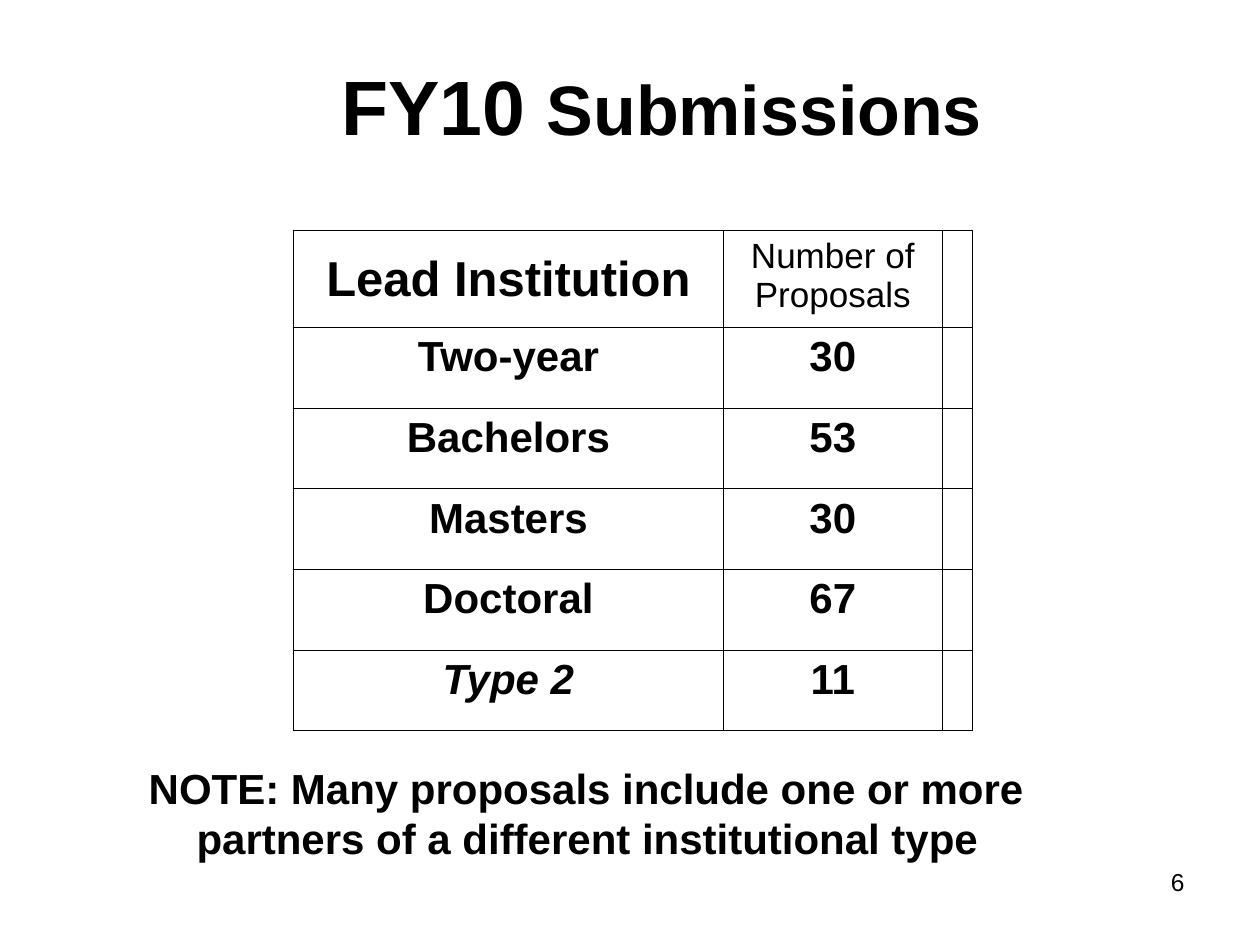
from dataclasses import dataclass

from pptx import Presentation
from pptx.dml.color import RGBColor
from pptx.enum.text import MSO_ANCHOR, MSO_AUTO_SIZE, PP_ALIGN
from pptx.oxml.xmlchemy import OxmlElement
from pptx.util import Inches, Pt

LEFT, CENTER, RIGHT = PP_ALIGN.LEFT, PP_ALIGN.CENTER, PP_ALIGN.RIGHT
TOP, MIDDLE = MSO_ANCHOR.TOP, MSO_ANCHOR.MIDDLE
NO_FIT = MSO_AUTO_SIZE.NONE


@dataclass(frozen=True)
class Theme:
    font: str = "Arial"
    ink: str = "000000"
    title: int = 44
    word: int = 40
    head: int = 28
    body: int = 24
    small: int = 20
    page: int = 14
    thin: float = 0.45
    thick: float = 1.08


class Deck:
    def __init__(self, theme, slide):
        self.theme, self.slide = theme, slide

    def style(self, run, size, bold=True, italic=False):
        font = run.font
        font.name, font.size = self.theme.font, Pt(size)
        font.bold, font.italic = bold, italic
        font.color.rgb = RGBColor.from_string(self.theme.ink)

    def place(self, shape, box):
        shape.left, shape.top, shape.width, shape.height = map(Inches, box)
        frame = shape.text_frame
        frame.word_wrap, frame.auto_size = True, NO_FIT
        return frame

    def title(self, box, parts):
        frame = self.place(self.slide.shapes.title, box)
        frame.vertical_anchor = MIDDLE
        para = frame.paragraphs[0]
        para.alignment = CENTER
        for text, size in parts:
            run = para.add_run()
            run.text = text
            self.style(run, size)

    def note(self, box, text, hang):
        frame = self.place(self.slide.placeholders[1], box)
        frame.vertical_anchor = TOP
        frame.text = text
        para = frame.paragraphs[0]
        props = para._p.get_or_add_pPr()
        props.set("marL", str(Inches(hang)))
        props.set("indent", str(-Inches(hang)))
        props.append(OxmlElement("a:buNone"))
        para.alignment, para.space_before = LEFT, Pt(0)
        self.style(para.runs[0], self.theme.body)

    def label(self, box, text, size):
        shape = self.slide.shapes.add_textbox(*map(Inches, box))
        frame = self.place(shape, box)
        frame.text = text
        para = frame.paragraphs[0]
        para.alignment = RIGHT
        self.style(para.runs[0], size, bold=False)

    def edges(self, cell, sides):
        # Border elements must come before the fill, in this order
        props = cell._tc.get_or_add_tcPr()
        for spot, (side, thick) in enumerate(sides.items()):
            line = OxmlElement(f"a:ln{side}")
            width = self.theme.thick if thick else self.theme.thin
            line.set("w", str(Pt(width)))
            fill = OxmlElement("a:solidFill")
            color = OxmlElement("a:srgbClr")
            color.set("val", self.theme.ink)
            fill.append(color)
            line.append(fill)
            props.insert(spot, line)

    def table(self, box, rows, widths, heights):
        count, span = len(rows), len(widths)
        grid = self.slide.shapes.add_table(count, span, *map(Inches, box)).table
        grid.first_row = grid.horz_banding = False
        for col, width in zip(grid.columns, widths):
            col.width = Inches(width)
        for row, height in zip(grid.rows, heights):
            row.height = Inches(height)
        for r, row in enumerate(rows):
            for c in range(span):
                cell = grid.cell(r, c)
                cell.fill.background()
                self.edges(cell, {"L": c == 0, "R": c == span - 1,
                                  "T": r == 0, "B": r == count - 1})
                if c < len(row):
                    text, size, bold, italic = row[c]
                    cell.text = text
                    para = cell.text_frame.paragraphs[0]
                    para.alignment = CENTER
                    self.style(para.runs[0], size, bold, italic)
        grid.cell(0, 0).vertical_anchor = MIDDLE


def main():
    show = Presentation()
    show.slide_width, show.slide_height = Inches(10), Inches(7.5)
    theme = Theme()
    deck = Deck(theme, show.slides.add_slide(show.slide_layouts[1]))

    # Title
    deck.title((1.25, 0.33, 8, 1),
               [("FY10 ", theme.title), ("Submissions", theme.word)])

    # Proposals by lead institution
    counts = {"Two-year": 30, "Bachelors": 53, "Masters": 30,
              "Doctoral": 67, "Type 2": 11}
    rows = [[("Lead Institution", theme.head, True, False),
             ("Number of Proposals", theme.small, False, False)]]
    rows += [[(name, theme.body, True, name == "Type 2"),
              (str(count), theme.body, True, False)]
             for name, count in counts.items()]
    deck.table((2.33, 1.83, 5.39, 3.98), rows, [3.41, 1.74, 0.24],
               [0.77] + [0.64] * len(counts))

    # Note and page number
    deck.note((1.08, 6, 7.75, 1.17),
              "NOTE: Many proposals include one or more partners of a "
              "different institutional type", 0.38)
    deck.label((7.17, 6.83, 2.33, 0.52), "6", theme.page)

    show.save("out.pptx")


if __name__ == "__main__":
    main()
